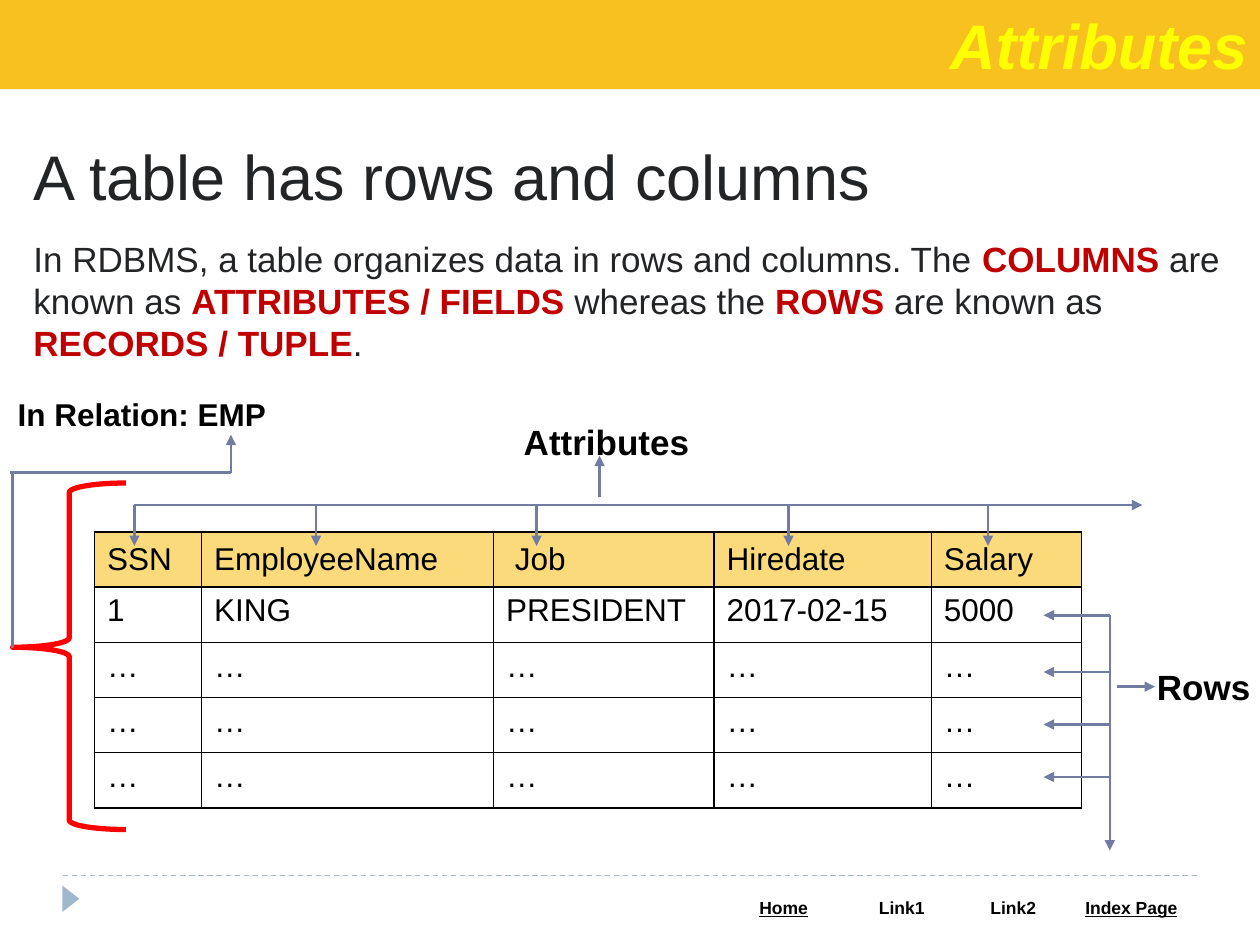
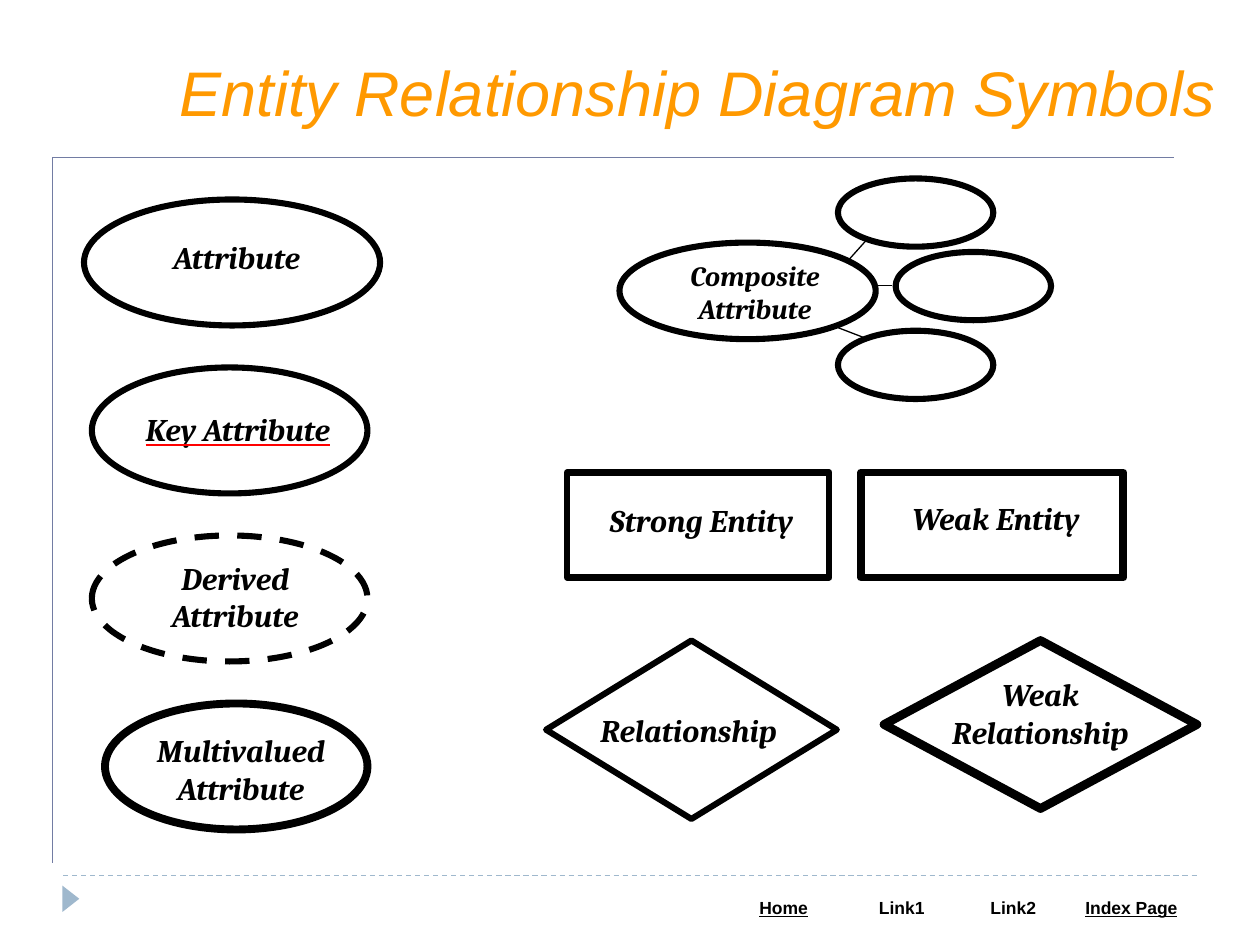
from lxml import etree
from pptx import Presentation
from pptx import util as u
from pptx.dml.color import RGBColor
from pptx.enum import dml, shapes, text
from pptx.oxml import ns

BLACK = RGBColor(0x00, 0x00, 0x00)
WHITE = RGBColor(0xFF, 0xFF, 0xFF)
RED = RGBColor(0xFF, 0x00, 0x00)
CRIMSON = RGBColor(0xC0, 0x00, 0x00)
YELLOW = RGBColor(0xFF, 0xFF, 0x00)
ORANGE = RGBColor(0xFF, 0x99, 0x00)
GOLD = RGBColor(0xF7, 0xC1, 0x20)
SAND = RGBColor(0xFA, 0xDA, 0x7A)
INK = RGBColor(0x22, 0x24, 0x26)
SLATE = RGBColor(0x72, 0x7C, 0xA3)
MIST = RGBColor(0x9F, 0xB8, 0xCD)

KIND = shapes.MSO_SHAPE
RIGHT, CENTER = text.PP_ALIGN.RIGHT, text.PP_ALIGN.CENTER
DASH = dml.MSO_LINE.DASH


class Board:
    """Draws styled elements on the current slide, on a grid of 120 columns by 90 rows."""

    def __init__(self):
        self.deck = Presentation()
        self.deck.slide_width, self.deck.slide_height = u.Inches(10), u.Inches(7.5)
        self.column = self.deck.slide_width / 120
        self.row = self.deck.slide_height / 90

    def place(self, *lengths):
        units = (self.column, self.row) * 2
        return [round(length * unit) for length, unit in zip(lengths, units)]

    def add_page(self):
        self.page = self.deck.slides.add_slide(self.deck.slide_layouts[6])
        self.canvas = self.page.shapes
        self.shape(KIND.ISOSCELES_TRIANGLE, (5.5, 84.8, 2.5, 1.6), fill=MIST).rotation = 90
        self.line((6, 83.4), (114, 83.4), MIST, 0.75, dash=DASH)
        links = self.table((69, 85, 45, 3.2), (11.25, 11.25, 10, 12.5),
                           [["Home", "Link1", "Link2", "Index Page"]],
                           10, WHITE, WHITE, bold=True, align=CENTER)
        for index in (0, 3):
            links.cell(0, index).text_frame.paragraphs[0].runs[0].font.underline = True

    def start_group(self):
        self.canvas = self.page.shapes.add_group_shape().shapes

    def style(self, para, size, color, face="Arial", bold=False, italic=False, align=None):
        para.alignment = align
        for span in para.runs:
            font = span.font
            font.name, font.size, font.color.rgb = face, u.Pt(size), color
            font.bold, font.italic = bold, italic

    def text(self, at, words, size, color=BLACK, wrap=True, **style):
        box = self.canvas.add_textbox(*self.place(*at))
        frame = box.text_frame
        frame.text = words
        frame.word_wrap = wrap
        frame.auto_size = text.MSO_AUTO_SIZE.SHAPE_TO_FIT_TEXT
        self.style(frame.paragraphs[0], size, color, **style)
        return frame.paragraphs[0]

    def rich_text(self, at, words, size, color, accent):
        para = self.text(at, "", size)
        for index, part in enumerate(words.split("*")):
            span = para.add_run()
            span.text = part
            span.font.name, span.font.size = "Arial", u.Pt(size)
            span.font.bold = index % 2 == 1
            span.font.color.rgb = accent if span.font.bold else color

    def shape(self, kind, at, fill=None, line=None, width=1, dash=None):
        form = self.canvas.add_shape(kind, *self.place(*at))
        form.shadow.inherit = False
        if fill is None:
            form.fill.background()
        else:
            form.fill.solid()
            form.fill.fore_color.rgb = fill
        if line is None:
            form.line.fill.background()
        else:
            form.line.color.rgb, form.line.width = line, u.Pt(width)
            form.line.dash_style = dash
        return form

    def line(self, start, end, color=SLATE, width=1.5, arrow=False, dash=None):
        link = self.canvas.add_connector(
            shapes.MSO_CONNECTOR.STRAIGHT, *self.place(*start), *self.place(*end))
        link.line.color.rgb, link.line.width = color, u.Pt(width)
        link.line.dash_style = dash
        if arrow:
            etree.SubElement(link.line._get_or_add_ln(), ns.qn("a:tailEnd"), type="triangle")
        etree.SubElement(link._element.spPr, ns.qn("a:effectLst"))

    def border(self, cell, color, width=1):
        properties = cell._tc.get_or_add_tcPr()
        for index, side in enumerate(("lnL", "lnR", "lnT", "lnB")):
            edge = etree.Element(ns.qn("a:" + side), w=str(u.Pt(width)))
            fill = etree.SubElement(edge, ns.qn("a:solidFill"))
            etree.SubElement(fill, ns.qn("a:srgbClr"), val=str(color))
            properties.insert(index, edge)

    def table(self, at, widths, rows, size, head, edge, **style):
        grid = self.canvas.add_table(len(rows), len(widths), *self.place(*at)).table
        grid.first_row = grid.horz_banding = False
        for column, width in zip(grid.columns, widths):
            column.width = round(width * self.column)
        for top, words in enumerate(rows):
            for left, word in enumerate(words):
                cell = grid.cell(top, left)
                cell.text_frame.text = word
                self.style(cell.text_frame.paragraphs[0], size, BLACK, **style)
                if top == 0:
                    cell.fill.solid()
                    cell.fill.fore_color.rgb = head
                else:
                    cell.fill.background()
                self.border(cell, edge)
        return grid

    def symbol(self, kind, at, words, label_at, width=3.5, size=18, dash=None):
        self.start_group()
        self.shape(kind, at, WHITE, BLACK, width, dash)
        para = self.text(label_at, words, size, face="Cambria", bold=True, italic=True,
                         align=CENTER)
        para.space_after = u.Pt(10)
        return para

    def underline(self, para, color):
        font = para.runs[0].font
        font.underline = True
        latin = font._element.find(ns.qn("a:latin"))
        mark = etree.Element(ns.qn("a:uFill"))
        fill = etree.SubElement(mark, ns.qn("a:solidFill"))
        etree.SubElement(fill, ns.qn("a:srgbClr"), val=str(color))
        latin.addprevious(mark)


def draw_attributes(board):
    board.add_page()
    board.text((2, 12.5, 116, 8.5), "A table has rows and columns", 36, INK)
    band = board.shape(KIND.RECTANGLE, (0, 0, 120, 8.5), GOLD)
    band.text_frame.text = "Attributes"
    board.style(band.text_frame.paragraphs[0], 36, YELLOW, bold=True, italic=True, align=RIGHT)
    board.rich_text(
        (2, 22, 116, 13.3),
        "In RDBMS, a table organizes data in rows and columns. The *COLUMNS *are known as "
        "*ATTRIBUTES / FIELDS *whereas the *ROWS *are known as *RECORDS / TUPLE*.",
        20, INK, CRIMSON)

    rows = [["SSN", "EmployeeName", " Job", "Hiredate", "Salary"],
            ["1", "KING", "PRESIDENT", "2017-02-15", "5000"]] + [["…"] * 5] * 3
    employees = board.table((9, 50.65, 94, 26.3), (10.2, 27.8, 21, 20.7, 14.3),
                            rows, 18, SAND, BLACK)
    for cell in employees.rows[0].cells:
        cell.vertical_anchor = text.MSO_ANCHOR.MIDDLE

    board.text((48.7, 39.5, 18.4, 5.3), "Attributes", 20, wrap=False, bold=True)
    board.line((57.1, 47.3), (57.1, 43.4), arrow=True)
    board.line((12.8, 48.1), (108.8, 48.1), arrow=True)
    for x in (12.8, 30.1, 51.1, 75.1, 94.1):
        board.line((x, 48.1), (x, 52), arrow=True)

    board.text((109, 62.8, 11.4, 5.3), "Rows", 20, bold=True)
    board.line((106.4, 65.4), (110, 65.4), arrow=True)
    board.line((105.7, 58.6), (105.7, 81), arrow=True)
    for y in (58.6, 64, 69, 74):
        board.line((105.7, y), (99.4, y), arrow=True)

    board.text((0.5, 37, 26.3, 4.8), "In Relation: EMP", 18, wrap=False, bold=True)
    brace = board.shape(KIND.LEFT_BRACE, (1.2, 46, 10.8, 33), line=RED, width=3)
    brace.adjustments[1] = 0.474
    board.line((1.2, 61.7), (1.2, 45))
    board.line((22, 45), (1, 45))
    board.line((22, 45), (22, 41.4), arrow=True)


def draw_symbols(board):
    board.add_page()
    board.text((3, 4.5, 114, 8.5), "Entity Relationship Diagram Symbols", 36, ORANGE,
               italic=True, align=RIGHT)

    oval, box, diamond = KIND.OVAL, KIND.RECTANGLE, KIND.FLOWCHART_DECISION
    board.symbol(oval, (10, 67, 25, 12), "Multivalued Attribute", (13.4, 69, 19.1, 8.5), 4.5)
    board.symbol(oval, (8.75, 51, 26.25, 12), "Derived Attribute", (13.7, 52.6, 17.4, 8.5),
                 dash=DASH)
    key = board.symbol(oval, (8.75, 35, 26.25, 12), "Key Attribute", (11.8, 38.5, 21.7, 4.8))
    board.underline(key, RED)
    board.symbol(oval, (8, 19, 28.2, 12), "Attribute", (13.2, 22.1, 18.7, 5.3))

    board.symbol(oval, (59, 23.1, 24.4, 9.2), "Composite Attribute", (63.8, 24, 16.2, 7.7),
                 size=16)
    for x, y in ((85.3, 24), (79.8, 17), (79.8, 31.5)):
        board.shape(oval, (x, y, 14.8, 6.5), WHITE, BLACK, 3.5)
    for start, end in (((80.7, 24.9), (82.4, 23)), ((83.3, 27.2), (85, 27.2)),
                       ((82.4, 32.2), (79.8, 31.2))):
        board.line(start, end, BLACK, 0.75)

    board.symbol(box, (82, 45, 25, 10), "Weak Entity", (84.7, 46.9, 20.3, 4.8), 4.5)
    board.symbol(box, (54, 45, 25, 10), "Strong Entity", (55.6, 47.1, 22.4, 4.8))
    board.symbol(diamond, (52, 61, 27.7, 17), "Relationship", (53.5, 67.1, 24.2, 4.2))
    board.symbol(diamond, (84.2, 61, 29.8, 16), "Weak Relationship", (86.4, 63.7, 25.4, 7.3), 5)

    board.start_group()
    for end in ((5, 82.2), (111.8, 15)):
        board.line((5, 15), end, width=1)


def main():
    board = Board()
    draw_attributes(board)
    draw_symbols(board)
    board.deck.save("out.pptx")


if __name__ == "__main__":
    main()
